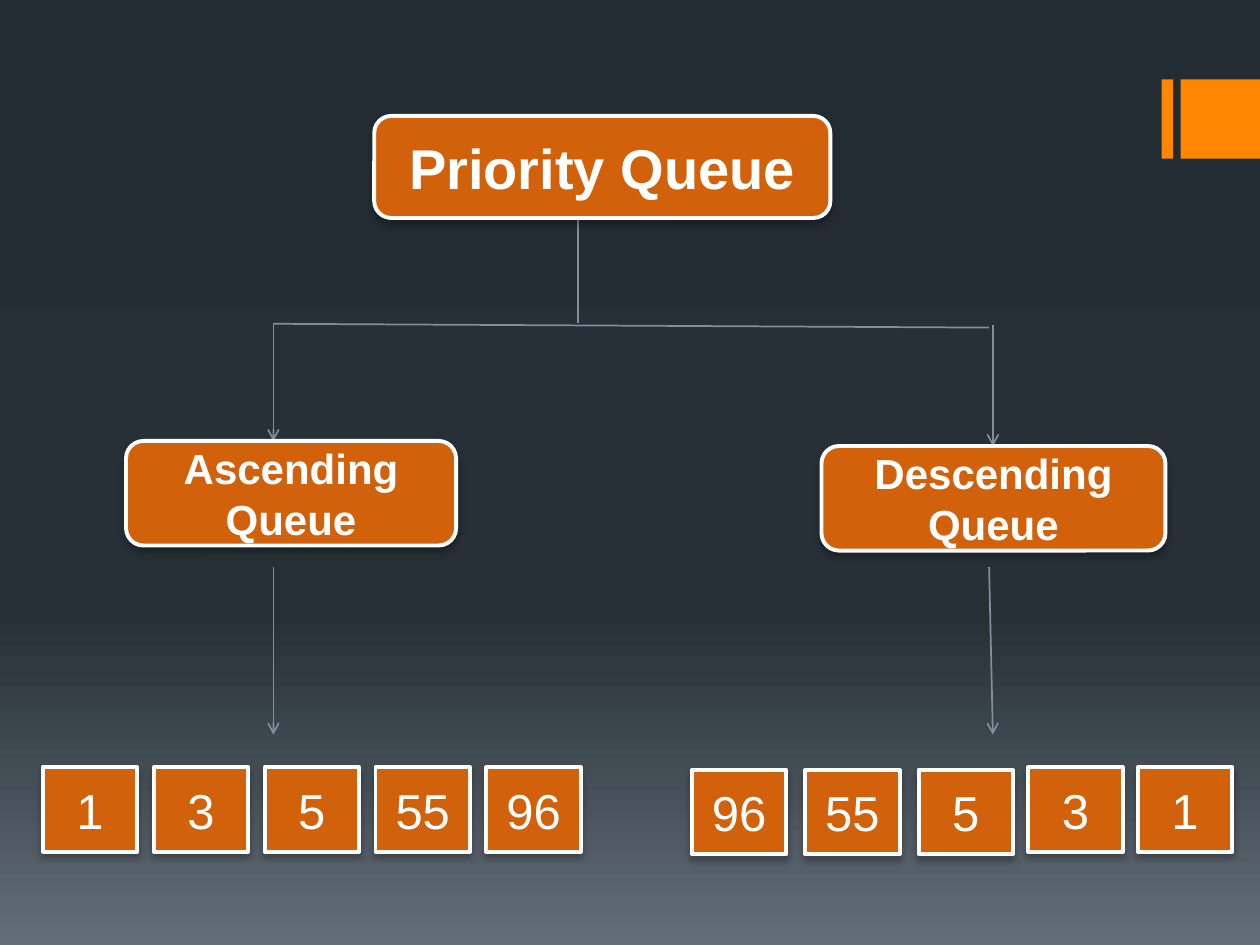
from copy import deepcopy
from dataclasses import dataclass

from lxml import etree
from pptx import Presentation
from pptx.dml.color import RGBColor
from pptx.enum.shapes import MSO_CONNECTOR, MSO_SHAPE
from pptx.enum.text import MSO_ANCHOR, PP_ALIGN
from pptx.oxml import parse_xml
from pptx.oxml.ns import qn
from pptx.util import Inches, Pt

RECTANGLE = MSO_SHAPE.RECTANGLE
ROUNDED = MSO_SHAPE.ROUNDED_RECTANGLE
STRAIGHT = MSO_CONNECTOR.STRAIGHT
CENTER = PP_ALIGN.CENTER
MIDDLE = MSO_ANCHOR.MIDDLE
BLANK_LAYOUT = 6

SHADOW_XML = (
    '<a:outerShdw xmlns:a="http://schemas.openxmlformats.org/drawingml/2006/main"'
    ' blurRad="50800" dist="38100" dir="5400000" rotWithShape="0">'
    '<a:srgbClr val="000000"><a:alpha val="28000"/></a:srgbClr></a:outerShdw>'
)


@dataclass(frozen=True)
class Theme:
    """Colours, font and type sizes of the slide."""
    background: tuple = ((0, "242C33"), (0.65, "273037"), (1, "636D76"))
    accent: str = "FF8600"
    box: str = "D2610C"
    white: str = "FFFFFF"
    connector: str = "838D9B"
    font: str = "Arial"
    heading_size: int = 32
    branch_size: int = 24
    item_size: int = 28


class Diagram:
    """Draws the elements of a queue diagram on one slide."""

    def __init__(self, slide, theme):
        """Keep the slide and its style."""
        self.slide = slide
        self.theme = theme

    def background(self):
        """Fill the background with a three-stop vertical gradient."""
        fill = self.slide.background.fill
        fill.gradient()
        fill.gradient_angle = 270
        stop_list = next(self.slide.element.iter(qn("a:gsLst")))
        stop_list.insert(1, deepcopy(stop_list[0]))
        for stop, (position, color) in zip(fill.gradient_stops, self.theme.background):
            stop.position = position
            stop.color.rgb = RGBColor.from_string(color)

    def block(self, left, top, width, height, color, kind=RECTANGLE):
        """Add a plain filled shape without outline or shadow."""
        shape = self.slide.shapes.add_shape(
            kind, Inches(left), Inches(top), Inches(width), Inches(height))
        shape.fill.solid()
        shape.fill.fore_color.rgb = RGBColor.from_string(color)
        shape.line.fill.background()
        shape.shadow.inherit = False
        return shape

    def box(self, text, left, top, width, height, size, kind=RECTANGLE, bold=False):
        """Add an outlined box with a soft shadow and centred text."""
        shape = self.block(left, top, width, height, self.theme.box, kind)
        white = RGBColor.from_string(self.theme.white)
        shape.line.color.rgb = white
        shape.line.width = Pt(2.25)
        next(shape.element.iter(qn("a:effectLst"))).append(parse_xml(SHADOW_XML))
        frame = shape.text_frame
        frame.word_wrap = True
        frame.vertical_anchor = MIDDLE
        frame.text = text
        paragraph = frame.paragraphs[0]
        paragraph.alignment = CENTER
        font = paragraph.runs[0].font
        font.name, font.size, font.bold = self.theme.font, Pt(size), bold
        font.color.rgb = white

    def row(self, values, left, top, pitch):
        """Add evenly spaced queue items."""
        for index, value in enumerate(values):
            self.box(str(value), left + index * pitch, top, 0.75, 0.67,
                     self.theme.item_size)

    def line(self, start, end, arrow=False):
        """Add a straight line, with an arrowhead at its end if asked."""
        points = [Inches(value) for value in (*start, *end)]
        connector = self.slide.shapes.add_connector(STRAIGHT, *points)
        connector.line.color.rgb = RGBColor.from_string(self.theme.connector)
        connector.line.width = Pt(1)
        if arrow:
            outline = connector.line._get_or_add_ln()
            etree.SubElement(outline, qn("a:tailEnd"), type="arrow")
        etree.SubElement(connector.element.spPr, qn("a:effectLst"))


def main():
    """Build and save the presentation."""
    presentation = Presentation()
    presentation.slide_width = Inches(10)
    presentation.slide_height = Inches(7.5)
    slide = presentation.slides.add_slide(presentation.slide_layouts[BLANK_LAYOUT])
    theme = Theme()
    diagram = Diagram(slide, theme)

    diagram.background()
    for left, width in ((9.22, 0.09), (9.37, 0.63)):
        diagram.block(left, 0.63, width, 0.63, theme.accent)

    diagram.line((4.59, 1.73), (4.59, 2.56))
    diagram.line((7.85, 2.6), (2.17, 2.57))
    for start, end in (
        ((2.17, 2.56), (2.17, 3.5)),
        ((7.88, 2.58), (7.88, 3.54)),
        ((2.17, 4.5), (2.17, 5.83)),
        ((7.85, 4.5), (7.88, 5.83)),
    ):
        diagram.line(start, end, arrow=True)

    for text, left, top, width, height, size in (
        ("Priority Queue", 2.97, 0.92, 3.62, 0.81, theme.heading_size),
        ("Ascending Queue", 1, 3.5, 2.62, 0.83, theme.branch_size),
        ("Descending Queue", 6.52, 3.54, 2.73, 0.83, theme.branch_size),
    ):
        diagram.box(text, left, top, width, height, size, ROUNDED, bold=True)

    diagram.row((1, 3, 5, 55, 96), 0.34, 6.09, 0.88)
    diagram.row((96, 55, 5), 5.49, 6.11, 0.9)
    diagram.row((3, 1), 8.16, 6.09, 0.87)

    presentation.save("out.pptx")


main()
